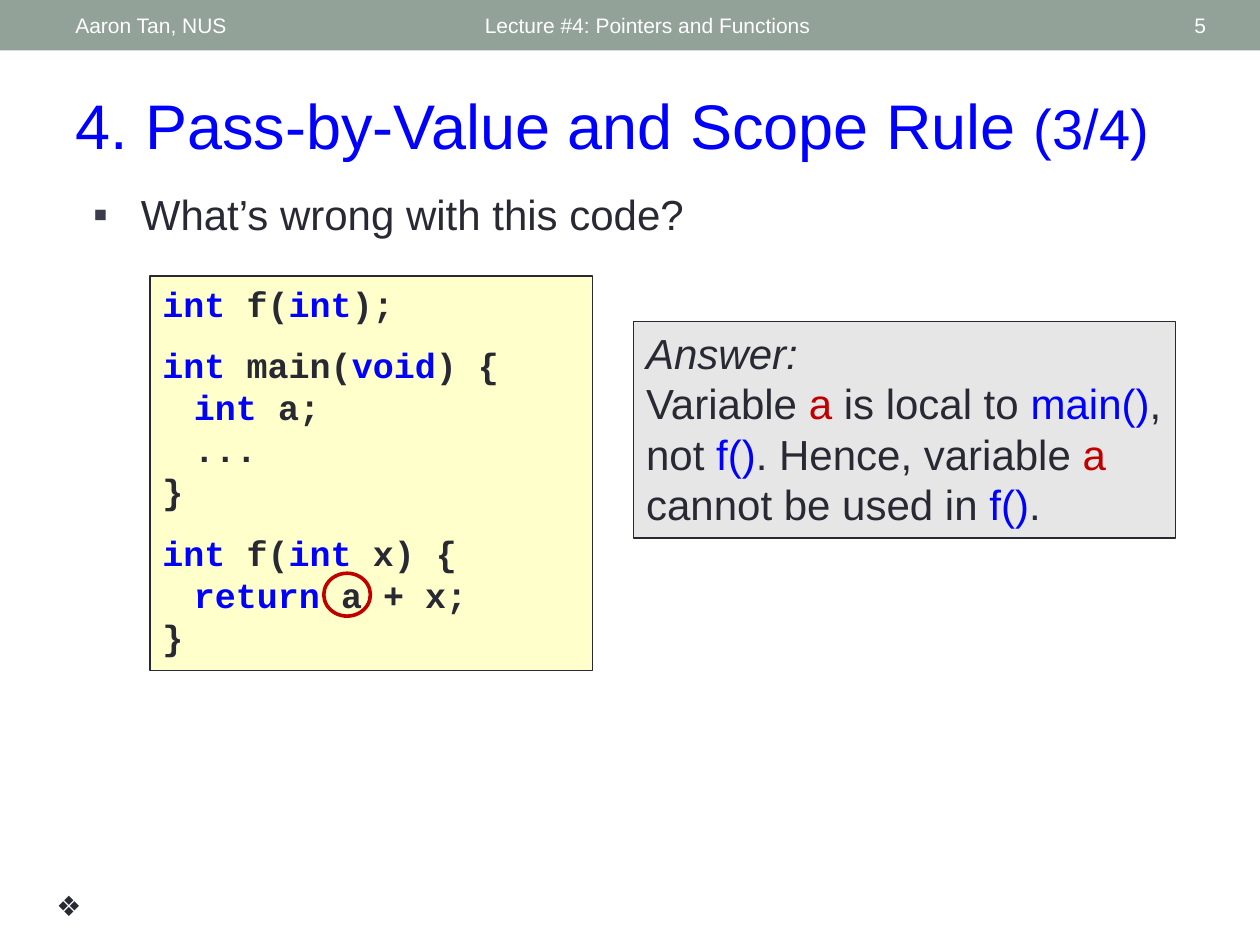
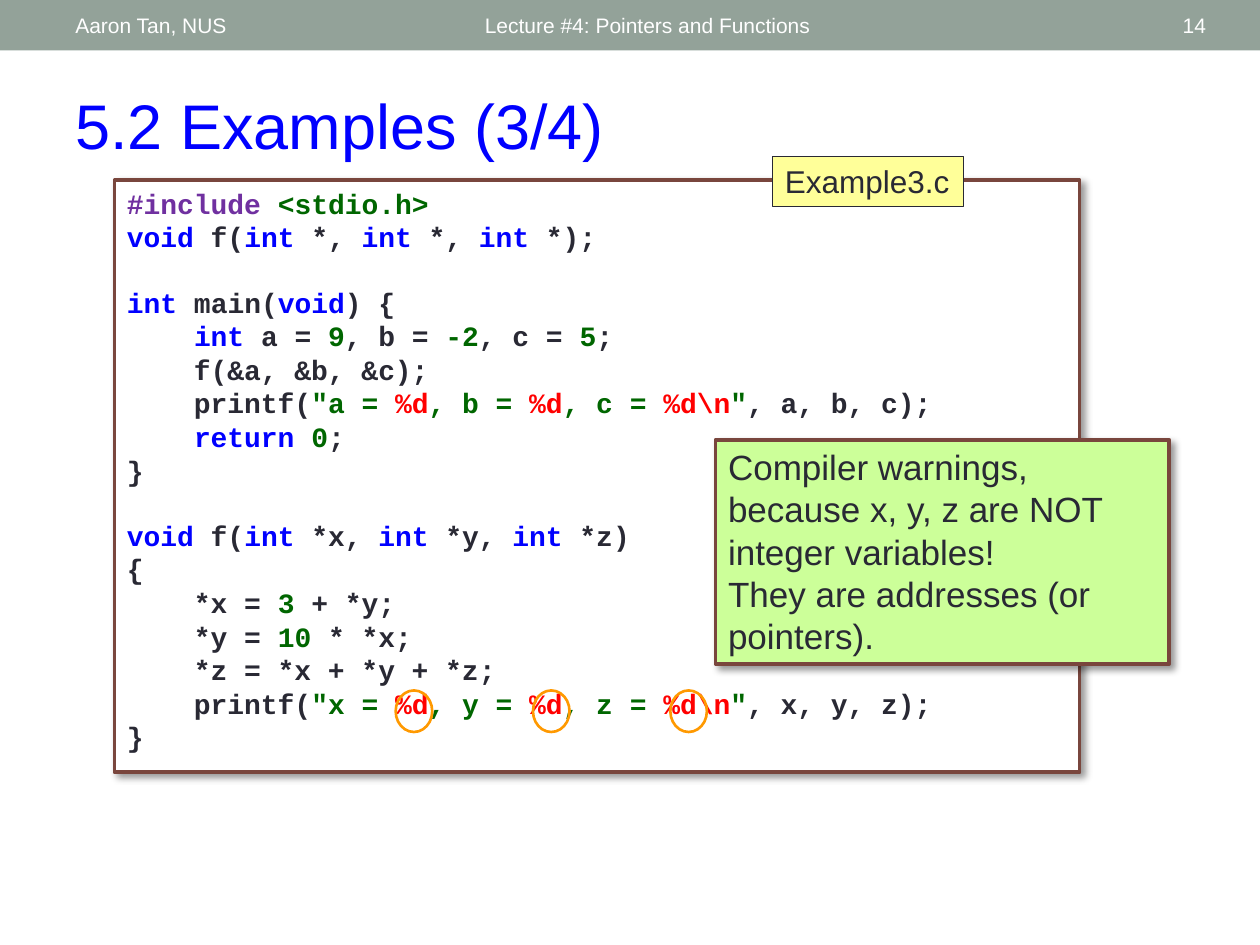
from lxml import etree
from pptx import Presentation
from pptx.dml.color import RGBColor
from pptx.enum.shapes import MSO_SHAPE
from pptx.enum.text import MSO_ANCHOR, PP_ALIGN
from pptx.oxml.ns import qn
from pptx.util import Inches, Pt

RECT, OVAL = MSO_SHAPE.RECTANGLE, MSO_SHAPE.OVAL
TOP, MIDDLE = MSO_ANCHOR.TOP, MSO_ANCHOR.MIDDLE
LEFT, CENTER, RIGHT = PP_ALIGN.LEFT, PP_ALIGN.CENTER, PP_ALIGN.RIGHT

COLOURS = {
    "band": "93A299", "white": "FFFFFF", "ink": "292934", "bullet": "3B3B4B",
    "blue": "0000FF", "crimson": "C00000", "red": "FF0000", "green": "006600",
    "purple": "7030A0", "orange": "FF9900", "brown": "79463D", "cream": "FFFFCC",
    "grey": "E6E6E6", "yellow": "FFFF99", "lime": "CCFF99", "black": "000000",
}
BODY_FONT, CODE_FONT = "Arial", "Courier New"

# [key:text] gives a piece of text the format of its key
MARKS = {
    "k": {"colour": "blue"}, "v": {"colour": "crimson"}, "f": {"colour": "red"},
    "g": {"colour": "green"}, "p": {"colour": "purple"},
    "i": {"italic": True}, "s": {"size": 32},
}

LECTURER = "Aaron Tan, NUS"
LECTURE = "Lecture #4: Pointers and Functions"

SCOPE = {
    "number": "5",
    "title": "4. Pass-by-Value and Scope Rule [s:(3/4)]",
    "question": "What’s wrong with this code?",
    "code": [
        "[k:int ]f([k:int]);",
        "",
        "[k:int] main([k:void]) {",
        "\t[k:int] a;",
        "\t...",
        "}",
        "",
        "[k:int] f([k:int] x) {",
        "\t[k:return] a + x;",
        "}",
    ],
    "answer": [
        "[i:Answer:]",
        "Variable [v:a] is local to [k:main()], not [k:f()]. "
        "Hence, variable [v:a] cannot be used in [k:f()].",
    ],
    "ornament": "❖",
}

EXAMPLE = {
    "number": "14",
    "title": "5.2 Examples (3/4)",
    "file": "Example3.c",
    "code": [
        "[p:#include ][g:<stdio.h>]",
        "[k:void] f([k:int] *, [k:int] *, [k:int] *);",
        "",
        "[k:int] main([k:void]) {",
        "    [k:int] a = [g:9], b = [g:-2], c = [g:5];",
        "    f(&a, &b, &c);",
        '    printf([g:"a = ][f:%d][g:, b = ][f:%d][g:, c = ][f:%d\\n][g:"], a, b, c);',
        "    [k:return ][g:0];",
        "}",
        "",
        "[k:void] f([k:int] *x, [k:int] *y, [k:int] *z)",
        "{",
        "    *x = [g:3] + *y;",
        "    *y = [g:10] * *x;",
        "    *z = *x + *y + *z;",
        '    printf([g:"x = ][f:%d][g:, y = ][f:%d][g:, z = ][f:%d\\n][g:"], x, y, z);',
        "}",
    ],
    "warning": [
        "Compiler warnings, because x, y, z are NOT integer variables!",
        "They are addresses (or pointers).",
    ],
}
FORMAT_SPECIFIERS = 3


def rgb(name):
    return RGBColor.from_string(COLOURS[name])


def pieces(line):
    for part in line.split("["):
        marked, closing, plain = part.partition("]")
        if closing:
            key, _, text = marked.partition(":")
            yield text, MARKS[key]
        else:
            plain = marked
        if plain:
            yield plain, {}


def add_tabs(paragraph, stops):
    tab_list = etree.SubElement(paragraph._p.get_or_add_pPr(), qn("a:tabLst"))
    for stop in stops:
        etree.SubElement(tab_list, qn("a:tab"), pos=str(Inches(stop)), algn="l")


def add_bullet(paragraph, character, indent):
    properties = paragraph._p.get_or_add_pPr()
    properties.set("marL", str(Inches(indent)))
    properties.set("indent", str(-Inches(indent)))
    colour = etree.SubElement(properties, qn("a:buClr"))
    etree.SubElement(colour, qn("a:srgbClr"), val=COLOURS["bullet"])
    etree.SubElement(properties, qn("a:buFont"), typeface=BODY_FONT)
    etree.SubElement(properties, qn("a:buChar"), char=character)


def write(box, lines, size=12, font=BODY_FONT, colour="ink", bold=False, align=LEFT,
          anchor=TOP, wrap=True, gap=0, tabs=(), bullet=None):
    frame = box.text_frame
    frame.word_wrap = wrap
    frame.vertical_anchor = anchor
    lines = [lines] if isinstance(lines, str) else lines
    paragraph = None
    for previous, line in zip([None] + lines, lines):
        if not line:
            continue
        paragraph = frame.add_paragraph() if paragraph else frame.paragraphs[0]
        if tabs:
            add_tabs(paragraph, tabs)
        if bullet:
            add_bullet(paragraph, bullet, 0.38)
        paragraph.alignment = align
        if previous == "":
            paragraph.space_before = Pt(gap)
        for text, mark in pieces(line):
            run = paragraph.add_run()
            run.text = text
            run.font.name = font
            run.font.bold = bold
            run.font.italic = mark.get("italic", False)
            run.font.size = Pt(mark.get("size", size))
            run.font.color.rgb = rgb(mark.get("colour", colour))


def add_text(slide, place, lines, **text_format):
    box = slide.shapes.add_textbox(*map(Inches, place))
    write(box, lines, **text_format)


def add_figure(slide, kind, place, fill=None, line=None, width=0.75, shadow=False):
    figure = slide.shapes.add_shape(kind, *map(Inches, place))
    if fill:
        figure.fill.solid()
        figure.fill.fore_color.rgb = rgb(fill)
    else:
        figure.fill.background()
    if line:
        figure.line.color.rgb = rgb(line)
        figure.line.width = Pt(width)
    else:
        figure.line.fill.background()
    figure.shadow.inherit = False
    if shadow:
        effects = figure._element.spPr.find(qn("a:effectLst"))
        outer = etree.SubElement(effects, qn("a:outerShdw"), blurRad=str(Pt(4)),
                                 dist=str(Pt(3)), dir="2700000", algn="tl", rotWithShape="0")
        colour = etree.SubElement(outer, qn("a:srgbClr"), val=COLOURS["black"])
        etree.SubElement(colour, qn("a:alpha"), val="40000")
    return figure


def add_lecture_slide(deck, content):
    slide = deck.slides.add_slide(deck.slide_layouts[6])
    add_figure(slide, RECT, (0, 0, 10, 0.4), fill="band")
    for left, width, text, align in (
        (3.75, 4.5, LECTURE, LEFT),
        (0.5, 3.17, LECTURER, LEFT),
        (8.72, 0.95, content["number"], RIGHT),
    ):
        add_text(slide, (left, 0.02, width, 0.36), text, colour="white",
                 align=align, anchor=MIDDLE)
    add_text(slide, (0.5, 0.64, 9.17, 0.71), content["title"], size=36, colour="blue")
    return slide


def build_scope(deck):
    slide = add_lecture_slide(deck, SCOPE)
    add_text(slide, (0.64, 1.45, 9, 0.63), SCOPE["question"], size=24, bullet="▪")
    code = add_figure(slide, RECT, (1.19, 2.19, 3.51, 3.13), fill="cream", line="ink")
    write(code, SCOPE["code"], size=20, font=CODE_FONT, bold=True, gap=11.3,
          tabs=(0.25, 0.51, 0.75))
    answer = add_figure(slide, RECT, (5.03, 2.55, 4.3, 1.72), fill="grey", line="ink")
    write(answer, SCOPE["answer"], size=24)
    add_figure(slide, OVAL, (2.57, 4.55, 0.37, 0.34), line="crimson", width=2.08)
    add_text(slide, (0.35, 7, 0.34, 0.37), SCOPE["ornament"], size=16, align=CENTER)


def build_example(deck):
    slide = add_lecture_slide(deck, EXAMPLE)
    framed = {"line": "brown", "width": 2.08, "shadow": True}
    code = add_figure(slide, RECT, (0.91, 1.43, 7.66, 4.7), fill="white", **framed)
    write(code, EXAMPLE["code"], size=16, font=CODE_FONT, bold=True, gap=18.1)
    file_label = add_figure(slide, RECT, (6.13, 1.24, 1.52, 0.4), fill="yellow", line="ink")
    write(file_label, EXAMPLE["file"], size=18, wrap=False)
    warning = add_figure(slide, RECT, (5.68, 3.49, 3.6, 1.78), fill="lime", **framed)
    write(warning, EXAMPLE["warning"], size=20)
    for index in range(FORMAT_SPECIFIERS):
        add_figure(slide, OVAL, (3.14 + 1.09 * index, 5.48, 0.29, 0.33),
                   line="orange", width=1.5)


def main():
    deck = Presentation()
    deck.slide_width, deck.slide_height = Inches(10), Inches(7.5)
    build_scope(deck)
    build_example(deck)
    deck.save("out.pptx")


if __name__ == "__main__":
    main()
